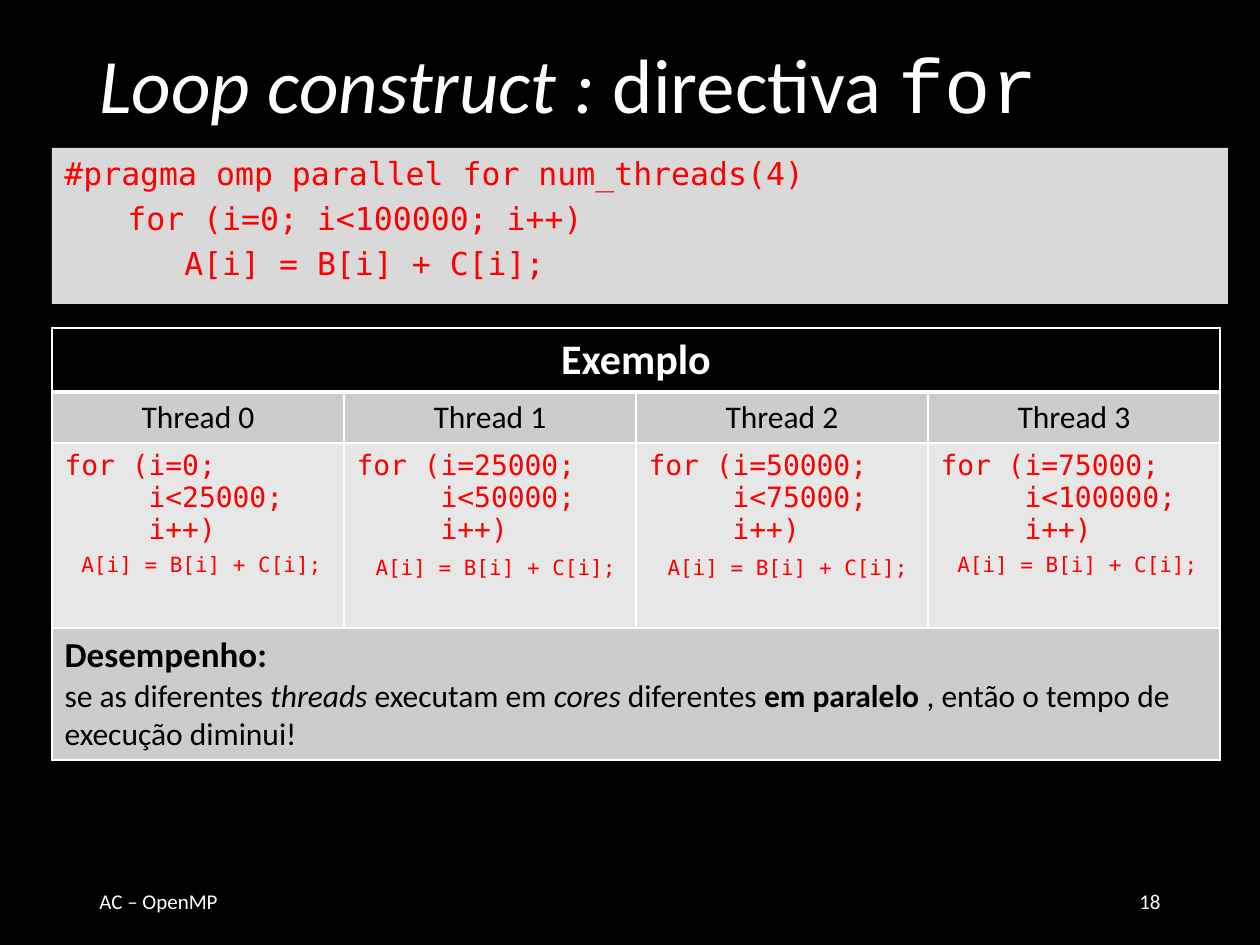
from lxml import etree
from pptx import Presentation
from pptx.dml.color import RGBColor
from pptx.enum.shapes import MSO_SHAPE
from pptx.enum.text import MSO_ANCHOR, PP_ALIGN
from pptx.oxml.ns import qn
from pptx.util import Emu, Pt

LEFT, CENTER, RIGHT = PP_ALIGN.LEFT, PP_ALIGN.CENTER, PP_ALIGN.RIGHT
TOP, MIDDLE = MSO_ANCHOR.TOP, MSO_ANCHOR.MIDDLE
RECTANGLE = MSO_SHAPE.RECTANGLE

PX_PER_INCH = 126
BREAK = "\v"
COLORS = {
    "black": "000000",
    "white": "FFFFFF",
    "red": "FF0000",
    "panel": "D9D9D9",
    "band_dark": "CCCCCC",
    "band_light": "E7E7E7",
}
SANS, MONO, TITLE_MONO = "Calibri", "DejaVu Sans Mono", "Courier New"


def px(value):
    return Emu(round(value * 914400 / PX_PER_INCH))


def rgb(name):
    return RGBColor.from_string(COLORS[name])


def look(size, color, name=SANS, **extra):
    return {"size": Pt(size), "color": color, "name": name, **extra}


class SlideBuilder:
    """Holds the current page and draws each kind of element on it."""

    def __init__(self, page):
        self.page = page

    def background(self, color):
        fill = self.page.background.fill
        fill.solid()
        fill.fore_color.rgb = rgb(color)

    def add_lines(self, frame, lines, align=LEFT, **paragraph_format):
        """Each line is a list of (text, look) spans."""
        for index, spans in enumerate(lines):
            para = frame.paragraphs[0] if index == 0 else frame.add_paragraph()
            para.alignment = align
            for key, value in paragraph_format.items():
                if index or key != "space_before":
                    setattr(para, key, value)
            for text, style in spans:
                if text == BREAK:
                    para.add_line_break()
                    continue
                span = para.add_run()
                span.text = text
                for key, value in style.items():
                    if key == "color":
                        span.font.color.rgb = rgb(value)
                    else:
                        setattr(span.font, key, value)

    def text(self, left, top, width, height, lines, **paragraph_format):
        box = self.page.shapes.add_textbox(px(left), px(top), px(width), px(height))
        frame = box.text_frame
        frame.word_wrap = True
        frame.vertical_anchor = MIDDLE
        self.add_lines(frame, lines, **paragraph_format)

    def code_panel(self, left, top, width, height, lines, tab, **paragraph_format):
        panel = self.page.shapes.add_shape(
            RECTANGLE, px(left), px(top), px(width), px(height))
        panel.shadow.inherit = False
        panel.fill.solid()
        panel.fill.fore_color.rgb = rgb("panel")
        panel.line.fill.background()
        frame = panel.text_frame
        frame.word_wrap = True
        frame.vertical_anchor = TOP
        self.add_lines(frame, lines, **paragraph_format)
        # Hanging indent: a leading tab moves the code to the margin
        for para in frame.paragraphs:
            properties = para._p.get_or_add_pPr()
            properties.set("marL", str(px(tab)))
            properties.set("indent", str(-px(tab)))

    def table(self, left, top, column_width, columns, row_heights):
        frame = self.page.shapes.add_table(
            len(row_heights), columns, px(left), px(top),
            px(column_width * columns), px(sum(row_heights)))
        table = frame.table
        table.first_row = table.horz_banding = False
        for column in table.columns:
            column.width = px(column_width)
        for row, height in zip(table.rows, row_heights):
            row.height = px(height)
        return table

    def cell(self, cell, fill, lines=(), align=LEFT, borders=None):
        widths = {"L": 1, "R": 1, "T": 1, "B": 1, **(borders or {})}
        properties = cell._tc.get_or_add_tcPr()
        for side, width in widths.items():
            line = etree.SubElement(properties, qn(f"a:ln{side}"), w=str(Pt(width)))
            solid = etree.SubElement(line, qn("a:solidFill"))
            etree.SubElement(solid, qn("a:srgbClr"), val=COLORS["white"])
        cell.fill.solid()
        cell.fill.fore_color.rgb = rgb(fill)
        self.add_lines(cell.text_frame, lines, align)


def main():
    deck = Presentation()
    deck.slide_width, deck.slide_height = px(1260), px(945)
    page = deck.slides.add_slide(deck.slide_layouts[6])
    builder = SlideBuilder(page)
    builder.background("black")

    # Title
    title = look(44, "white")
    builder.text(87, 26, 1086, 125, [[
        ("Loop construct : ", {**title, "italic": True}),
        ("directiva ", title),
        ("for", {**title, "name": TITLE_MONO}),
    ]], line_spacing=0.9)

    # Footer
    footer = look(12, "white")
    builder.text(87, 876, 283, 50, [[("AC – OpenMP", footer)]])
    builder.text(890, 876, 283, 50, [[("18", footer)]], align=RIGHT)

    # Code panel
    code = look(18, "red", MONO)
    source = [
        "#pragma omp parallel for num_threads(4)",
        "\tfor (i=0; i<100000; i++)",
        "\t   A[i] = B[i] + C[i];",
    ]
    builder.code_panel(52, 148, 1176, 156, [[(line, code)] for line in source],
                       tab=63, space_before=Pt(4))

    # Example table
    threads, chunk = 4, 25000
    table = builder.table(52, 328, 292, threads, [64, 51, 185, 132])
    for row in (0, 3):
        table.cell(row, 0).merge(table.cell(row, threads - 1))

    # Header row
    heading = [[("Exemplo", look(24, "white", bold=True))]]
    for column in range(threads):
        builder.cell(table.cell(0, column), "black",
                     heading if column == 0 else (), CENTER, {"B": 3})

    # One column per thread
    body = look(18, "black")
    loop = look(16, "red", MONO)
    statement = look(12, "red", MONO)
    lead_sizes = [16, 18, 18, 16]
    for column, lead_size in enumerate(lead_sizes):
        builder.cell(table.cell(1, column), "band_dark",
                     [[(f"Thread {column}", body)]], CENTER, {"T": 3})
        builder.cell(table.cell(2, column), "band_light", [
            [(f"for (i={column * chunk};", loop)],
            [(f"     i<{(column + 1) * chunk};", loop)],
            [("     i++)", loop)],
            [(" ", look(lead_size, "red", MONO)), ("A[i] = B[i] + C[i];", statement)],
        ])

    # Performance row
    italic, bold = {**body, "italic": True}, {**body, "bold": True}
    performance = [[
        ("Desempenho: ", look(20, "black", bold=True)),
        (BREAK, {}),
        ("se as diferentes ", body),
        ("threads ", italic),
        ("executam em ", body),
        ("cores ", italic),
        ("diferentes ", body),
        ("em paralelo ", bold),
        (", então o tempo de execução diminui!", body),
    ]]
    for column in range(threads):
        builder.cell(table.cell(3, column), "band_dark",
                     performance if column == 0 else ())

    deck.save("out.pptx")


if __name__ == "__main__":
    main()
